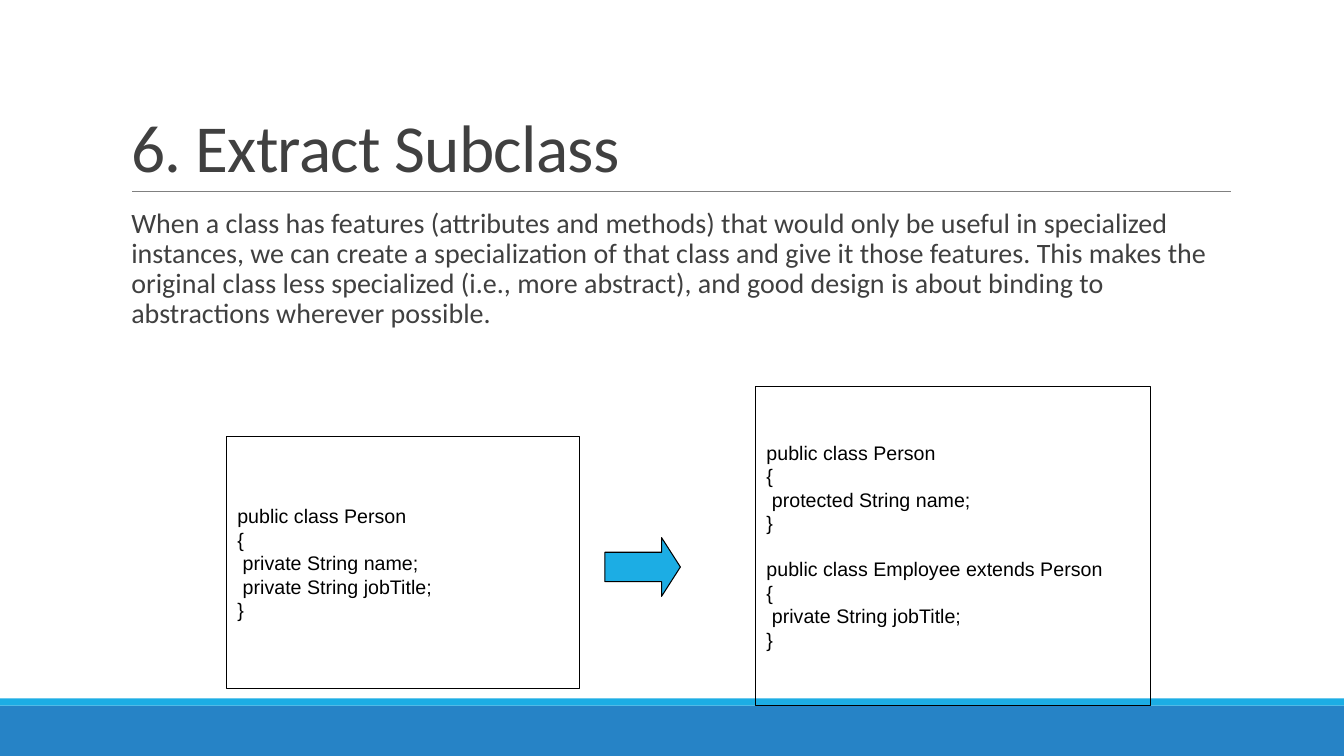
from pptx import Presentation
from pptx.dml.color import RGBColor
from pptx.enum.shapes import MSO_CONNECTOR, MSO_SHAPE
from pptx.enum.text import MSO_ANCHOR, PP_ALIGN
from pptx.oxml.ns import qn
from pptx.util import Pt
from lxml.etree import SubElement

PX = 9525
COLORS = {
    "blue": "2683C6",
    "sky": "1CADE4",
    "gray": "808080",
    "dark": "404040",
    "black": "000000",
}

INTRO = (
    "When a class has features (attributes and methods) that would only be useful "
    "in specialized instances, we can create a specialization of that class and give "
    "it those features. This makes the original class less specialized (i.e., more "
    "abstract), and good design is about binding to abstractions wherever possible."
)

BEFORE = """public class Person
{
 private String name;
 private String jobTitle;
}"""

AFTER = """public class Person
{
 protected String name;
}

public class Employee extends Person
{
 private String jobTitle;
}"""


def color(name):
    return RGBColor.from_string(COLORS[name])


def write(frame, text, size=14, font="Arial", ink="black",
          anchor=MSO_ANCHOR.MIDDLE, leading=1.0, track=0, gap=16):
    frame.word_wrap = True
    frame.vertical_anchor = anchor
    frame.margin_left = frame.margin_right = 10 * PX
    frame.margin_top = frame.margin_bottom = 5 * PX
    for part, block in enumerate(text.split("\n\n")):
        for row, line in enumerate(block.split("\n")):
            first = part == 0 and row == 0
            para = frame.paragraphs[0] if first else frame.add_paragraph()
            para.alignment = PP_ALIGN.LEFT
            para.line_spacing = leading
            if part and row == 0:
                para.space_before = Pt(gap)
            run = para.add_run()
            run.text = line
            run.font.size = Pt(size)
            run.font.name = font
            run.font.color.rgb = color(ink)
            if track:
                run.font._element.set("spc", str(track))


class Deck:
    def __init__(self):
        self.show = Presentation()
        self.show.slide_width = 1280 * PX
        self.show.slide_height = 720 * PX
        self.slide = self.show.slides.add_slide(self.show.slide_layouts[6])

    def shape(self, kind, *box, fill=None, line=None):
        item = self.slide.shapes.add_shape(kind, *(n * PX for n in box))
        item.shadow.inherit = False
        if fill:
            item.fill.solid()
            item.fill.fore_color.rgb = color(fill)
        else:
            item.fill.background()
        if line:
            item.line.color.rgb = color(line)
            item.line.width = Pt(0.75)
        else:
            item.line.fill.background()
        return item

    def bar(self, top, high, fill):
        self.shape(MSO_SHAPE.RECTANGLE, 0, top, 1280, high, fill=fill)

    def rule(self, left, right, top):
        ends = (n * PX for n in (left, top, right, top))
        line = self.slide.shapes.add_connector(MSO_CONNECTOR.STRAIGHT, *ends)
        line.line.color.rgb = color("gray")
        line.line.width = Pt(0.5)
        SubElement(line._element.spPr, qn("a:effectLst"))

    def text(self, text, *box, **style):
        item = self.slide.shapes.add_textbox(*(n * PX for n in box))
        write(item.text_frame, text, font="Calibri", ink="dark", **style)

    def code(self, text, *box):
        item = self.shape(MSO_SHAPE.RECTANGLE, *box, line="black")
        write(item.text_frame, text)

    def arrow(self, *box):
        item = self.shape(MSO_SHAPE.RIGHT_ARROW, *box, fill="sky", line="black")
        item.adjustments[0] = 0.5
        item.adjustments[1] = 0.32


def main():
    deck = Deck()
    deck.bar(672, 48, "blue")
    deck.bar(665, 7, "sky")
    deck.rule(126, 1172, 182)
    deck.text("6. Extract Subclass", 115, 30, 1056, 152, size=48,
              anchor=MSO_ANCHOR.BOTTOM, leading=0.85, track=-50)
    deck.text(INTRO, 115, 194, 1066, 422, size=20,
              anchor=MSO_ANCHOR.TOP, leading=0.9)
    deck.code(BEFORE, 216, 416, 336, 240)
    deck.arrow(576, 512, 72, 56)
    deck.code(AFTER, 720, 368, 376, 304)
    deck.show.save("out.pptx")


if __name__ == "__main__":
    main()
